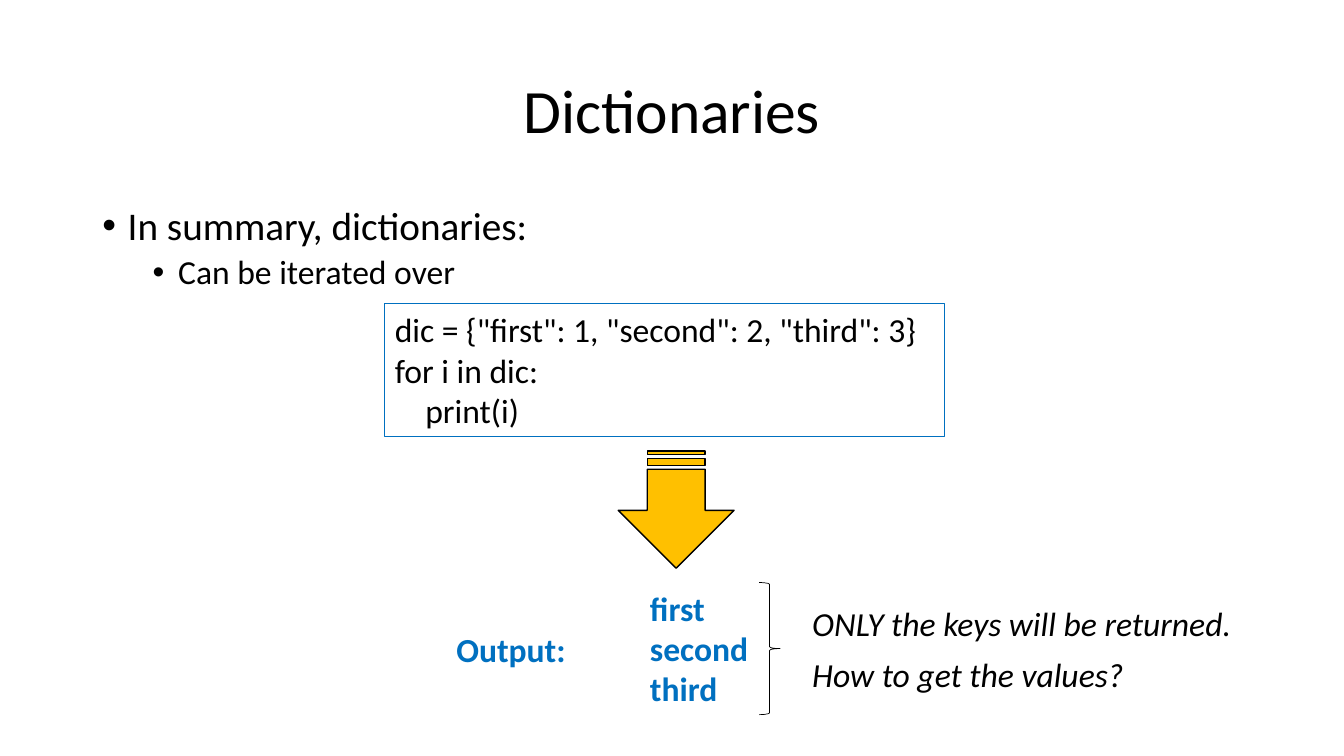
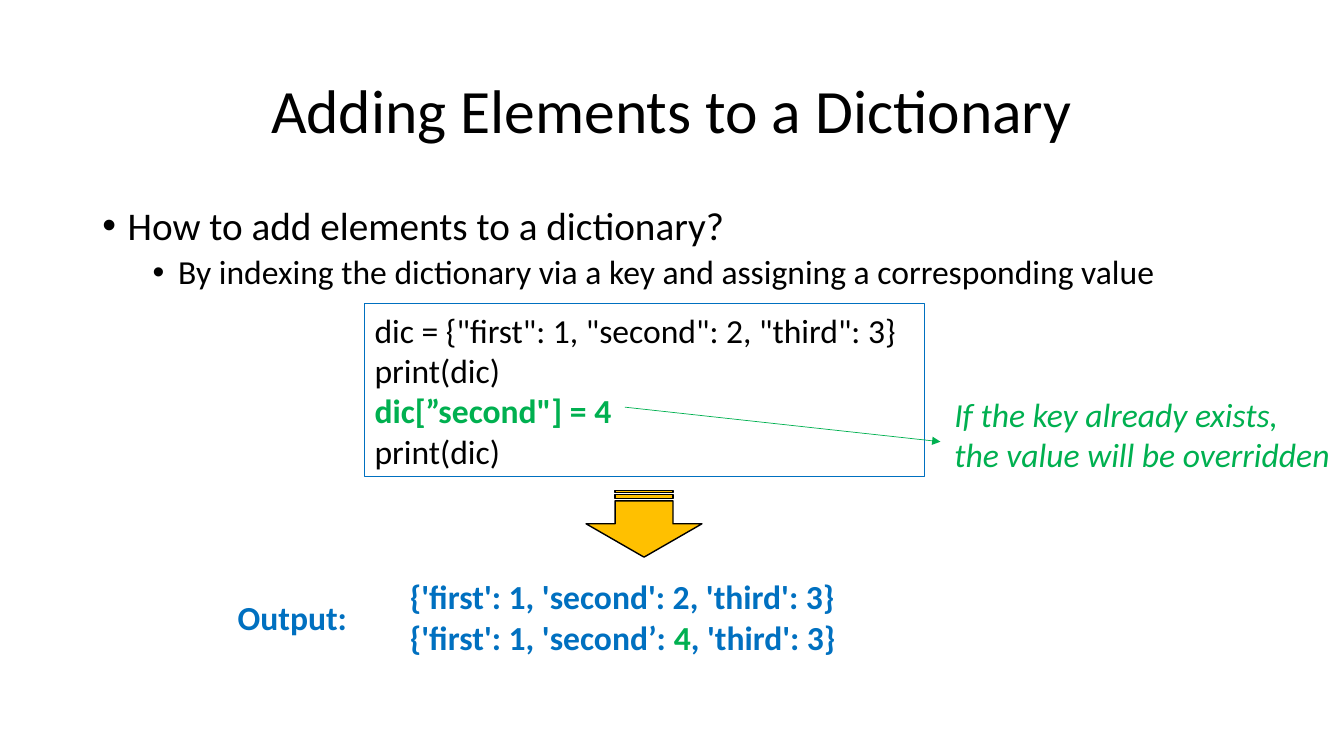
"""Build two lecture slides on Python dictionaries."""
from dataclasses import dataclass

from lxml.etree import SubElement as Sub
from pptx import Presentation
from pptx.dml.color import RGBColor as Rgb
from pptx.enum.shapes import MSO_CONNECTOR as Link, MSO_SHAPE as Kind
from pptx.enum.text import MSO_ANCHOR as Anchor, MSO_AUTO_SIZE as Auto, PP_ALIGN as Align
from pptx.oxml.ns import qn
from pptx.util import Cm, Pt


@dataclass(frozen=True)
class Theme:
    """Colours, font and type sizes of the deck."""
    ink: Rgb = Rgb(0, 0, 0)
    blue: Rgb = Rgb(0x00, 0x70, 0xC0)
    green: Rgb = Rgb(0x00, 0xB0, 0x50)
    gold: Rgb = Rgb(0xFF, 0xC0, 0x00)
    font: str = "Calibri"
    title: int = 44
    head: int = 28
    body: int = 24


THEME = Theme()


def write(para, text, size=THEME.body, color=THEME.ink, bold=False, italic=False):
    """Add one formatted run to a paragraph."""
    run = para.add_run()
    run.text = text
    font = run.font
    font.name, font.size = THEME.font, Pt(size)
    font.bold, font.italic = bold, italic
    font.color.rgb = color


class Deck:
    """Hold the presentation, its style and the current slide."""

    def __init__(self):
        self.prs = Presentation()
        self.prs.slide_width, self.prs.slide_height = Cm(33.87), Cm(19.05)
        self.slide = None

    def start(self, title, topic, point):
        """Open a slide with its title and two bullet levels."""
        self.slide = self.prs.slides.add_slide(self.prs.slide_layouts[6])
        frame = self.frame(2.33, 1.01, 29.21, 3.68)
        frame.vertical_anchor = Anchor.MIDDLE
        para = frame.paragraphs[0]
        para.alignment, para.line_spacing = Align.CENTER, 0.9
        write(para, title, size=THEME.title)
        frame = self.frame(2.33, 5.08, 29.21, 12.09)
        self.bullet(frame.paragraphs[0], topic, THEME.head, 0.64, 10)
        self.bullet(frame.add_paragraph(), point, THEME.body, 1.91, 5)

    def frame(self, left, top, width, height):
        """Add a wrapping text box and return its text frame."""
        box = self.slide.shapes.add_textbox(Cm(left), Cm(top), Cm(width), Cm(height))
        box.text_frame.word_wrap = True
        return box.text_frame

    def bullet(self, para, text, size, indent, gap):
        """Turn a paragraph into a bullet with a hanging indent."""
        para.line_spacing, para.space_before = 0.9, Pt(gap)
        props = para._p.get_or_add_pPr()
        props.set("marL", str(Cm(indent)))
        props.set("indent", str(-Cm(0.64)))
        Sub(props, qn("a:buFont"), typeface="Arial")
        Sub(props, qn("a:buChar"), char="•")
        write(para, text, size=size)

    def tall(self, rows):
        """Return the height that the given rows of body text need."""
        return 0.25 + 1.03 * len(rows)

    def fill(self, frame, rows, **style):
        """Write rows, each a string or a list of (text, changes) runs."""
        for num, row in enumerate(rows):
            para = frame.add_paragraph() if num else frame.paragraphs[0]
            para.alignment = Align.LEFT
            for text, diff in [(row, {})] if isinstance(row, str) else row:
                write(para, text, **{**style, **diff})

    def note(self, left, top, width, *rows, **style):
        """Add a text box that fits its unwrapped rows."""
        frame = self.frame(left, top, width, self.tall(rows))
        frame.word_wrap, frame.auto_size = False, Auto.SHAPE_TO_FIT_TEXT
        self.fill(frame, rows, **style)

    def shape(self, kind, left, top, width, height, line, weight, fill=None):
        """Add a preset shape without shadow."""
        item = self.slide.shapes.add_shape(kind, Cm(left), Cm(top), Cm(width), Cm(height))
        item.shadow.inherit = False
        if fill is None:
            item.fill.background()
        else:
            item.fill.solid()
            item.fill.fore_color.rgb = fill
        item.line.color.rgb, item.line.width = line, Pt(weight)
        return item

    def code(self, left, *rows):
        """Add a framed code listing and return its text frame."""
        box = self.shape(Kind.RECTANGLE, left, 7.65, 14.1, self.tall(rows), THEME.blue, 0.75)
        frame = box.text_frame
        frame.word_wrap, frame.auto_size = True, Auto.SHAPE_TO_FIT_TEXT
        self.fill(frame, rows)
        return frame

    def down(self, mid, top, size):
        """Add a striped arrow that points down from the given top."""
        wide = 2.92
        item = self.shape(Kind.STRIPED_RIGHT_ARROW, mid - size / 2,
                          top + (size - wide) / 2, size, wide, THEME.ink, 1, THEME.gold)
        item.rotation = 90

    def brace(self, left, top, width, height):
        """Add a right brace."""
        self.shape(Kind.RIGHT_BRACE, left, top, width, height, THEME.ink, 0.5)

    def arrow(self, *ends):
        """Add a thin green arrow between two points."""
        item = self.slide.shapes.add_connector(Link.STRAIGHT, *map(Cm, ends))
        item.line.color.rgb, item.line.width = THEME.green, Pt(0.5)
        Sub(item.line._get_or_add_ln(), qn("a:tailEnd"), type="triangle")
        Sub(item._element.spPr, qn("a:effectLst"))


def main():
    """Build and save both slides."""
    deck = Deck()
    first = 'dic = {"first": 1, "second": 2, "third": 3}'
    result = {"color": THEME.blue, "bold": True}
    key = {"color": THEME.green}

    deck.start("Dictionaries", "In summary, dictionaries:", "Can be iterated over")
    frame = deck.code(9.7, first, "for i in dic:", "print(i)")
    frame.paragraphs[2]._p.get_or_add_pPr().set("marL", str(Cm(0.77)))
    deck.down(17.04, 11.37, 2.95)
    deck.note(11.25, 15.72, 3.3, "Output:", **result)
    deck.note(16.13, 14.68, 3.02, "first", "second", "third", **result)
    deck.brace(19.13, 14.68, 0.53, 3.33)
    deck.note(20.22, 15.06, 11.3, "ONLY the keys will be returned.", italic=True)
    deck.note(20.22, 16.36, 8.64, "How to get the values?", italic=True)

    deck.start("Adding Elements to a Dictionary", "How to add elements to a dictionary?",
               "By indexing the dictionary via a key and assigning a corresponding value")
    deck.code(9.19, first, "print(dic)",
              [('dic[”second"] = 4', {**key, "bold": True})], "print(dic)")
    deck.down(16.23, 12.36, 1.68)
    deck.note(5.74, 14.91, 3.3, "Output:", **result)
    deck.note(10.08, 14.4, 11.33, "{'first': 1, 'second': 2, 'third': 3}",
              [("{'first': 1, 'second’: ", {}), ("4", key), (", 'third': 3}", {})], **result)
    deck.note(23.8, 9.8, 10.08, "If the key already exists,",
              "the value will be overridden", italic=True, **key)
    deck.arrow(15.75, 10.26, 23.7, 11.13)

    deck.prs.save("out.pptx")


if __name__ == "__main__":
    main()
